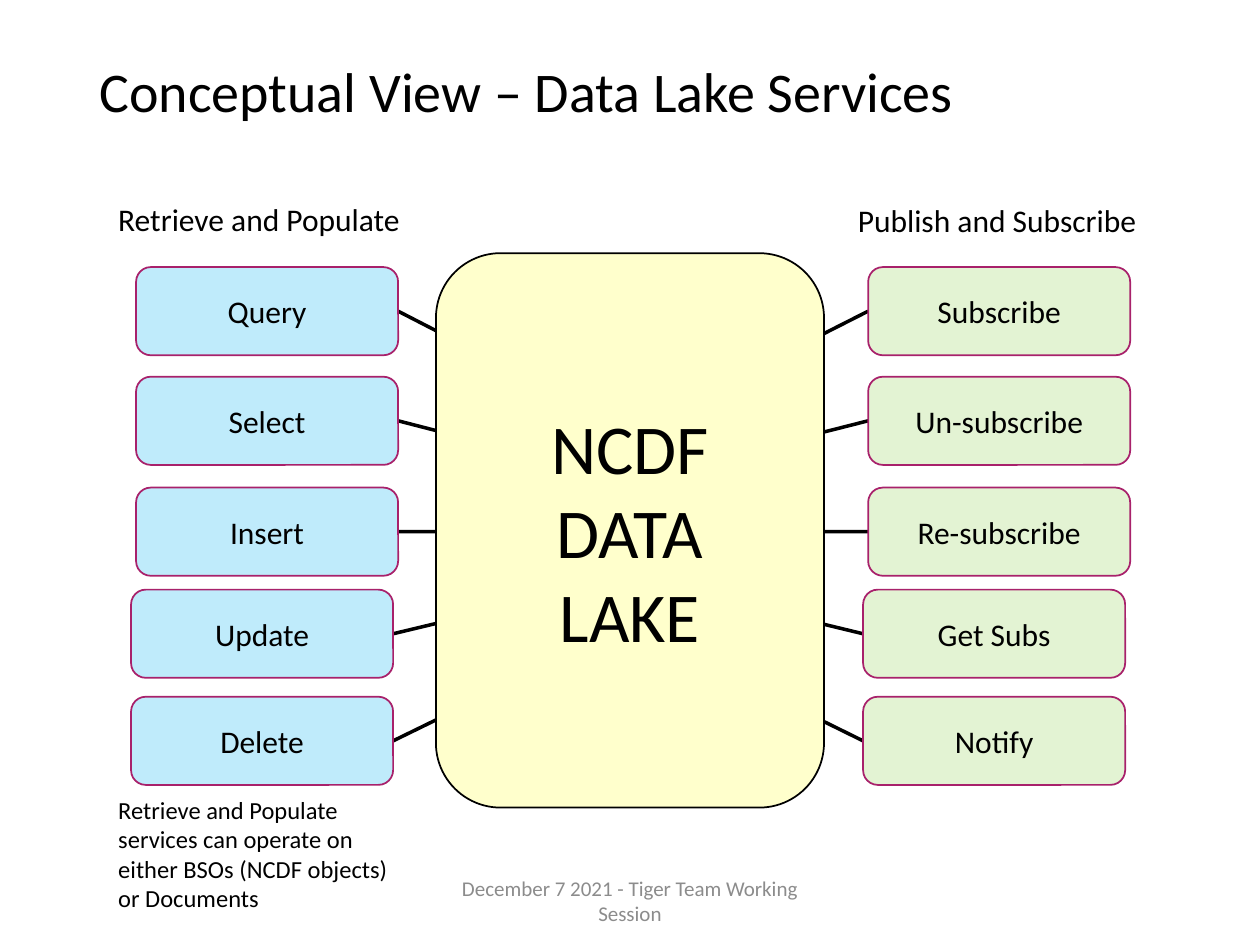
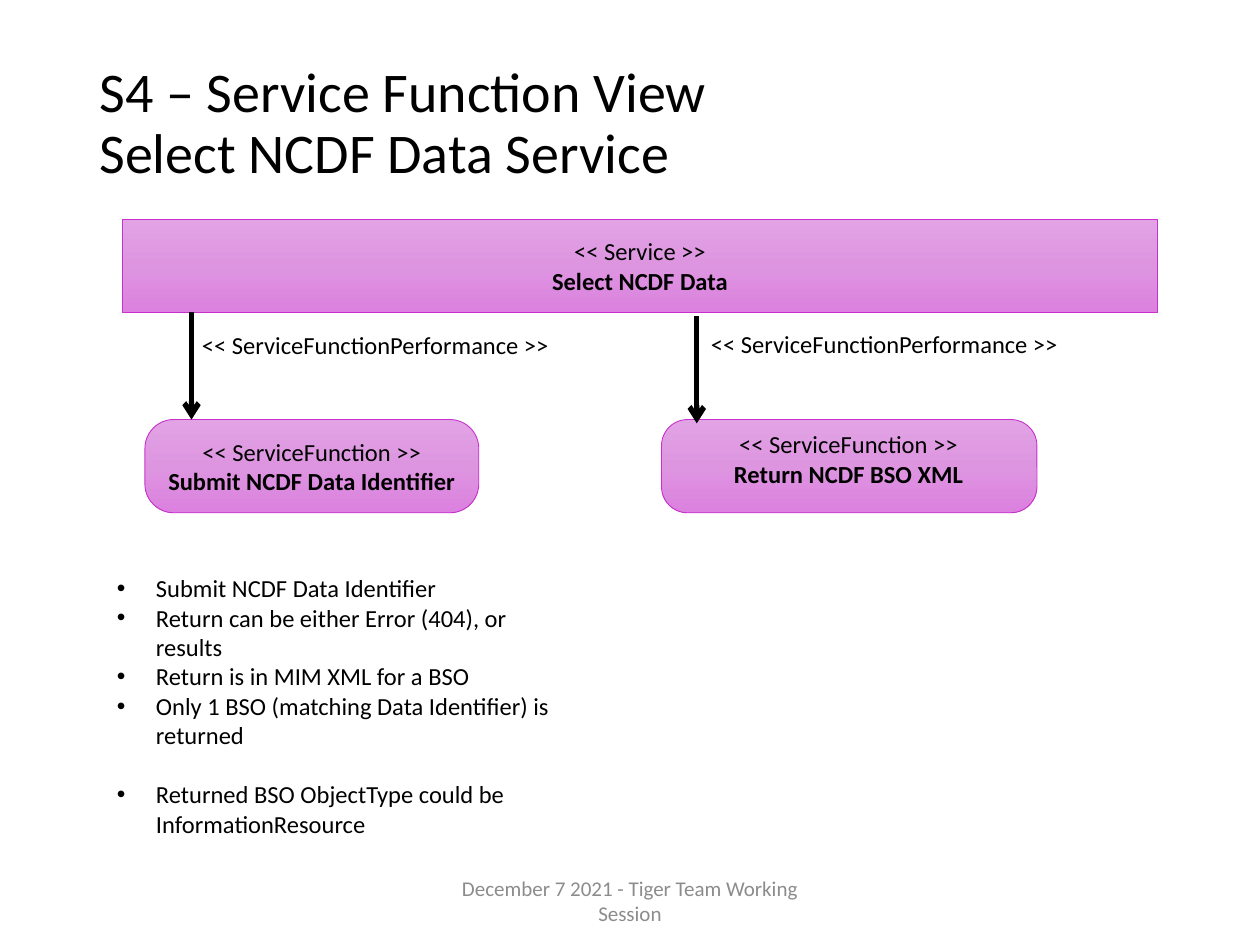
"""Build two slides on data lake services and the Select NCDF Data service."""
from lxml.etree import SubElement
from pptx import Presentation
from pptx.dml.color import RGBColor
from pptx.enum.shapes import MSO_CONNECTOR, MSO_SHAPE
from pptx.enum.text import MSO_ANCHOR, PP_ALIGN
from pptx.oxml.ns import qn
from pptx.util import Inches, Pt

BLACK = "000000"
GREY = "8C8C8C"
LAKE_YELLOW = "FFFFCC"
RETRIEVE_BLUE = "00B0F0"
PUBLISH_GREEN = "92D050"
BUTTON_EDGE = "A8216B"
SERVICE_EDGE = "C830CC"
SERVICE_GRADIENT = [(0, "E2A3E5"), (50, "DD95E0"), (100, "DC81DF")]
FONT = "Calibri"
FOOTER = "December 7 2021 - Tiger Team Working Session"


def add_box(slide, box, lines, size, kind=None, fill=None, edge=None, edge_width=1,
            align=PP_ALIGN.CENTER, anchor=MSO_ANCHOR.MIDDLE, color=BLACK,
            wrap=True, bold_last=False):
    """Add a text box, or a preset shape when a kind is given."""
    position = [Inches(length) for length in box]
    if kind is None:
        shape = slide.shapes.add_textbox(*position)
    else:
        shape = slide.shapes.add_shape(kind, *position)
        shape.shadow.inherit = False
        shape.line.color.rgb = RGBColor.from_string(edge)
        shape.line.width = Pt(edge_width)
        if fill:
            shape.fill.solid()
            shape.fill.fore_color.rgb = RGBColor.from_string(fill)
    frame = shape.text_frame
    frame.word_wrap = wrap
    frame.vertical_anchor = anchor
    for index, text in enumerate(lines):
        paragraph = frame.add_paragraph() if index else frame.paragraphs[0]
        paragraph.alignment = align
        run = paragraph.add_run()
        run.text = text
        run.font.name = FONT
        run.font.size = Pt(size)
        run.font.color.rgb = RGBColor.from_string(color)
        run.font.bold = bold_last and index == len(lines) - 1
    return shape


def add_line(slide, start, end, width):
    """Add a straight black line without a shadow."""
    ends = [Inches(length) for length in (*start, *end)]
    connector = slide.shapes.add_connector(MSO_CONNECTOR.STRAIGHT, *ends)
    connector.line.color.rgb = RGBColor.from_string(BLACK)
    connector.line.width = Pt(width)
    SubElement(connector._element.spPr, qn("a:effectLst"))
    return connector


presentation = Presentation()
presentation.slide_width = Inches(10)
presentation.slide_height = Inches(7.5)

slides = []
for title_lines, title_height in [
    (["Conceptual View – Data Lake Services"], 0.7),
    (["S4 – Service Function View", "Select NCDF Data Service"], 1.18),
]:
    slide = presentation.slides.add_slide(presentation.slide_layouts[6])
    title = add_box(slide, (0.69, 0.4, 8.62, title_height), title_lines, 32, align=PP_ALIGN.LEFT)
    for paragraph in title.text_frame.paragraphs:
        paragraph.line_spacing = 0.9
    add_box(slide, (3.31, 6.95, 3.38, 0.4), [FOOTER], 12, color=GREY)
    slides.append(slide)
lake_slide, service_slide = slides

button_width, button_height = 2.08, 0.7
button_tops = [2.12, 2.99, 3.87, 4.68, 5.53]
button_shifts = [0, 0, 0, -0.04, -0.04]
lake_left, lake_width, lake_middle = 3.46, 3.08, 4.21
button_columns = [
    (1.08, button_width, lake_left + lake_width, RETRIEVE_BLUE,
     ["Query", "Select", "Insert", "Update", "Delete"]),
    (6.89, 0, lake_left, PUBLISH_GREEN,
     ["Subscribe", "Un-subscribe", "Re-subscribe", "Get Subs", "Notify"]),
]
for column_left, spoke_offset, spoke_end, fill, names in button_columns:
    for name, top, shift in zip(names, button_tops, button_shifts):
        left = column_left + shift
        add_line(lake_slide, (left + spoke_offset, top + button_height / 2),
                 (spoke_end, lake_middle), 2)
        button = add_box(lake_slide, (left, top, button_width, button_height), [name], 18,
                         MSO_SHAPE.ROUNDED_RECTANGLE, fill, BUTTON_EDGE)
        fill_color = button._element.spPr.find(qn("a:solidFill"))[0]
        SubElement(fill_color, qn("a:alpha"), val="25000")

add_box(lake_slide, (lake_left, 2.01, lake_width, 4.4), ["NCDF", "DATA", "LAKE"], 40,
        MSO_SHAPE.ROUNDED_RECTANGLE, LAKE_YELLOW, BLACK)

for box, text, size, wrap in [
    ((0.84, 1.54, 2.46, 0.4), "Retrieve and Populate", 18, False),
    ((6.71, 1.55, 2.44, 0.4), "Publish and Subscribe", 18, False),
    ((0.84, 6.26, 2.46, 1.04), "Retrieve and Populate services can operate on "
     "either BSOs (NCDF objects) or Documents", 14, True),
]:
    add_box(lake_slide, box, [text], size, align=PP_ALIGN.LEFT,
            anchor=MSO_ANCHOR.TOP, wrap=wrap)

for box, lines, corner in [
    ((0.97, 1.74, 8.22, 0.74), ["<< Service >>", "Select NCDF Data"], None),
    ((1.15, 3.33, 2.65, 0.74), ["<< ServiceFunction >>", "Submit NCDF Data Identifier"], 0.31),
    ((5.25, 3.33, 2.98, 0.74), [], 0.28),
]:
    kind = MSO_SHAPE.ROUNDED_RECTANGLE if corner else MSO_SHAPE.RECTANGLE
    service = add_box(service_slide, box, lines, 14, kind, edge=SERVICE_EDGE,
                      edge_width=0.5, bold_last=True)
    if corner:
        service.adjustments[0] = corner
    service.fill.gradient()
    service.fill.gradient_angle = 270
    stop_list = service._element.spPr.find(qn("a:gradFill")).find(qn("a:gsLst"))
    for stop in list(stop_list):
        stop_list.remove(stop)
    for percent, color in SERVICE_GRADIENT:
        stop = SubElement(stop_list, qn("a:gs"), pos=str(percent * 1000))
        SubElement(stop, qn("a:srgbClr"), val=color)

add_box(service_slide, (5.72, 3.36, 2.03, 0.57), ["<< ServiceFunction >>", "Return NCDF BSO XML"],
        14, anchor=MSO_ANCHOR.TOP, wrap=False, bold_last=True)

for arrow_left, arrow_top, label_left, label_top in [
    (1.52, 2.48, 1.49, 2.57),
    (5.53, 2.51, 5.53, 2.56),
]:
    arrow = add_line(service_slide, (arrow_left, arrow_top), (arrow_left, arrow_top + 0.85), 3)
    SubElement(arrow.line._get_or_add_ln(), qn("a:tailEnd"), type="arrow")
    add_box(service_slide, (label_left, label_top, 2.98, 0.34),
            ["<< ServiceFunctionPerformance >>"], 14, anchor=MSO_ANCHOR.TOP, wrap=False)

notes = add_box(service_slide, (0.83, 4.5, 3.64, 2.22), [
    "Submit NCDF Data Identifier",
    "Return can be either Error (404), or results",
    "Return is in MIM XML for a BSO",
    "Only 1 BSO (matching Data Identifier) is returned",
    "Returned BSO ObjectType could be InformationResource",
], 14, align=PP_ALIGN.LEFT, anchor=MSO_ANCHOR.TOP)
for paragraph in notes.text_frame.paragraphs:
    properties = paragraph._p.get_or_add_pPr()
    properties.set("marL", str(Inches(0.31)))
    properties.set("indent", str(Inches(-0.31)))
    SubElement(properties, qn("a:buFont"), typeface="Arial")
    SubElement(properties, qn("a:buChar"), char="•")
notes.text_frame.paragraphs[-1].space_before = Pt(17)

presentation.save("out.pptx")
